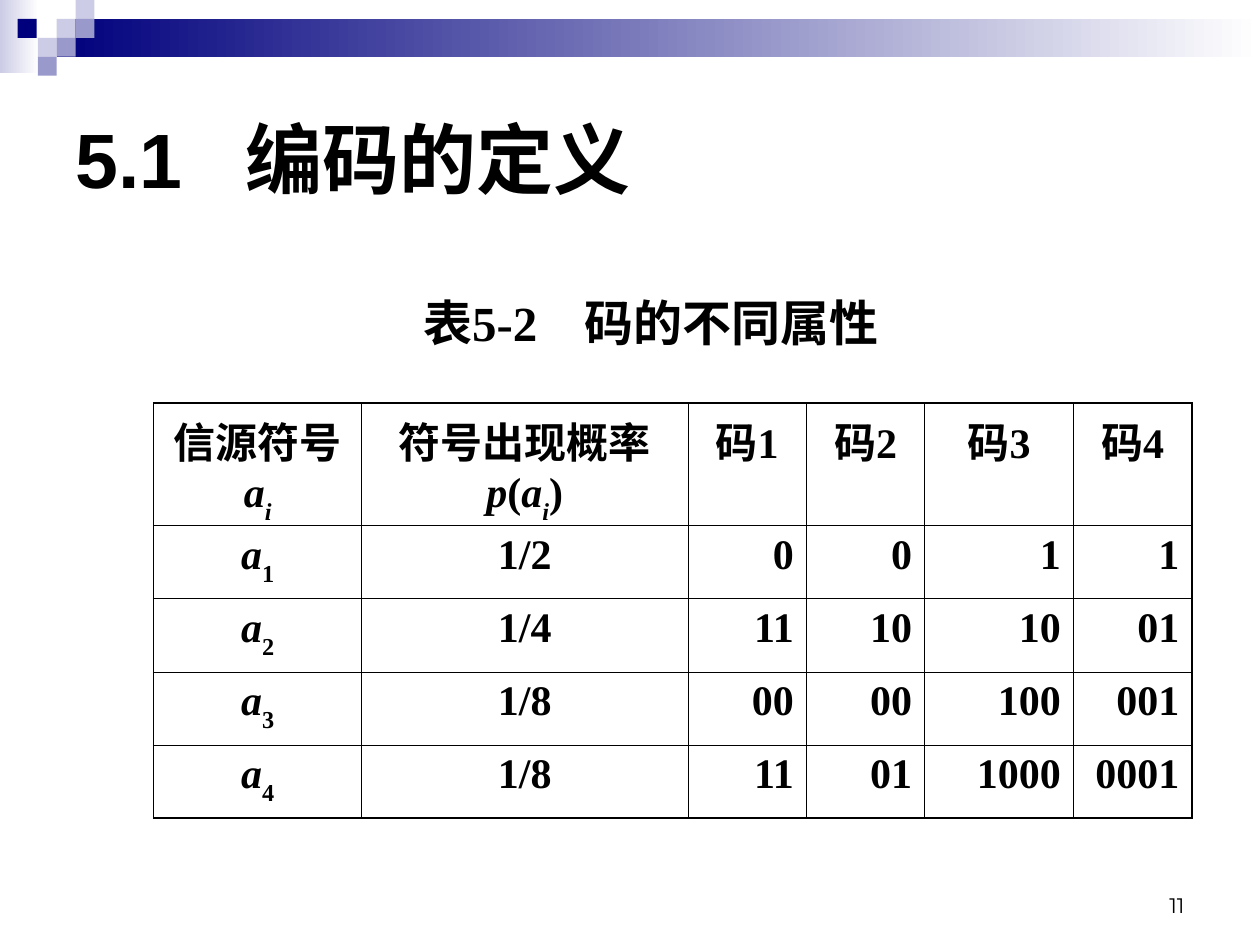
from lxml import etree
from pptx import Presentation
from pptx.dml.color import RGBColor
from pptx.enum import shapes, text
from pptx.oxml import ns
from pptx.util import Inches, Pt

BLACK = RGBColor(0x00, 0x00, 0x00)
WHITE = RGBColor(0xFF, 0xFF, 0xFF)
NAVY = RGBColor(0x00, 0x00, 0x7D)
MID = RGBColor(0x99, 0x99, 0xCC)
PALE = RGBColor(0xCC, 0xCC, 0xE6)
THIN, THICK = Pt(0.45), Pt(0.96)


def style(item, font, size, bold=True):
    item.font.name = font
    item.font.size = Pt(size)
    item.font.bold = bold
    item.font.color.rgb = BLACK


def add_tab(p, pos):
    tabs = etree.SubElement(p._p.get_or_add_pPr(), ns.qn("a:tabLst"))
    etree.SubElement(tabs, ns.qn("a:tab"), pos=str(Inches(pos)), algn="l")


prs = Presentation()
prs.slide_width, prs.slide_height = Inches(10), Inches(7.5)
s = prs.slides.add_slide(prs.slide_layouts[5])

# Header band and squares: left, top, width, height, colour, fades to white
decor = [
    (0, 0, 0.31, 0.58, PALE, True),
    (0.45, 0.15, 9.55, 0.3, NAVY, True),
]
squares = [(0.45, 0.15, PALE), (0.6, 0, PALE), (0.6, 0.15, MID), (0.3, 0.3, PALE),
           (0.14, 0.15, NAVY), (0.45, 0.3, MID), (0.3, 0.45, MID)]
decor += [(x, y, 0.15, 0.15, color, False) for x, y, color in squares]
for x, y, w, h, color, fades in decor:
    sp = s.shapes.add_shape(shapes.MSO_SHAPE.RECTANGLE,
                            Inches(x), Inches(y), Inches(w), Inches(h))
    sp.shadow.inherit = False
    sp.line.fill.background()
    if fades:
        sp.fill.gradient()
        sp.fill.gradient_angle = 0
        for stop, rgb in zip(sp.fill.gradient_stops, (color, WHITE)):
            stop.color.rgb = rgb
    else:
        sp.fill.solid()
        sp.fill.fore_color.rgb = color

# Title
title = s.shapes.title
title.left, title.top = Inches(0.5), Inches(0.5)
title.width, title.height = Inches(9), Inches(1.5)
tf = title.text_frame
tf.text = "5.1\t编码的定义"
tf.vertical_anchor = text.MSO_ANCHOR.MIDDLE
p = tf.paragraphs[0]
p.alignment = text.PP_ALIGN.LEFT
add_tab(p, 1.35)
for r in p.runs:
    style(r, "Arial", 44)

# Table caption
tf = s.shapes.add_textbox(Inches(3.26), Inches(2.27), Inches(3.81), Inches(1.04)).text_frame
tf.word_wrap = False
tf.text = "表5-2\t码的不同属性"
p = tf.paragraphs[0]
p.alignment = text.PP_ALIGN.LEFT
add_tab(p, 1.28)
for r in p.runs:
    style(r, "Times New Roman", 28)

# Table: each cell is a list of (text, italic, subscript) runs
headers = [
    [("信源符号", False, False), ("a", True, False), ("i", True, True)],
    [("符号出现概率", False, False), ("p", True, False), ("(", False, False),
     ("a", True, False), ("i", True, True), (")", False, False)],
] + [[(f"码{n}", False, False)] for n in range(1, 5)]
codes = [
    ("1/2", "0", "0", "1", "1"),
    ("1/4", "11", "10", "10", "01"),
    ("1/8", "00", "00", "100", "001"),
    ("1/8", "11", "01", "1000", "0001"),
]
rows = [headers]
for n, values in enumerate(codes, 1):
    symbol = [("a", True, False), (str(n), False, True)]
    rows.append([symbol] + [[(v, False, False)] for v in values])

widths = [1.65, 2.59, 0.94, 0.94, 1.18, 0.94]
heights = [0.97] + [0.58] * 4
table = s.shapes.add_table(len(rows), len(widths), Inches(1.22), Inches(3.2),
                           Inches(sum(widths)), Inches(sum(heights))).table
table.first_row = table.horz_banding = False
for col, w in zip(table.columns, widths):
    col.width = Inches(w)
for row, h in zip(table.rows, heights):
    row.height = Inches(h)

last_row, last_col = len(rows) - 1, len(widths) - 1
for i, cells in enumerate(rows):
    for j, runs in enumerate(cells):
        cell = table.cell(i, j)
        p = cell.text_frame.paragraphs[0]
        centred = i == 0 or j < 2
        p.alignment = text.PP_ALIGN.CENTER if centred else text.PP_ALIGN.RIGHT
        for content, italic, subscript in runs:
            r = p.add_run()
            r.text = content
            style(r, "Times New Roman", 24)
            r.font.italic = italic
            if subscript:
                r._r.get_or_add_rPr().set("baseline", "-30000")

        # Borders: thick around the table and under the header
        heavy = {"lnL": j == 0, "lnR": j == last_col,
                 "lnT": i <= 1, "lnB": i in (0, last_row)}
        tc_pr = cell._tc.get_or_add_tcPr()
        for side, thick in heavy.items():
            ln = etree.SubElement(tc_pr, ns.qn(f"a:{side}"), w=str(THICK if thick else THIN))
            fill = etree.SubElement(ln, ns.qn("a:solidFill"))
            etree.SubElement(fill, ns.qn("a:srgbClr"), val=str(BLACK))
        cell.fill.background()

# Slide number
tf = s.shapes.add_textbox(Inches(7.17), Inches(6.83), Inches(2.33), Inches(0.5)).text_frame
tf.word_wrap = True
tf.vertical_anchor = text.MSO_ANCHOR.BOTTOM
tf.text = "11"
p = tf.paragraphs[0]
p.alignment = text.PP_ALIGN.RIGHT
style(p.runs[0], "Montserrat", 12, bold=False)

prs.save("out.pptx")
